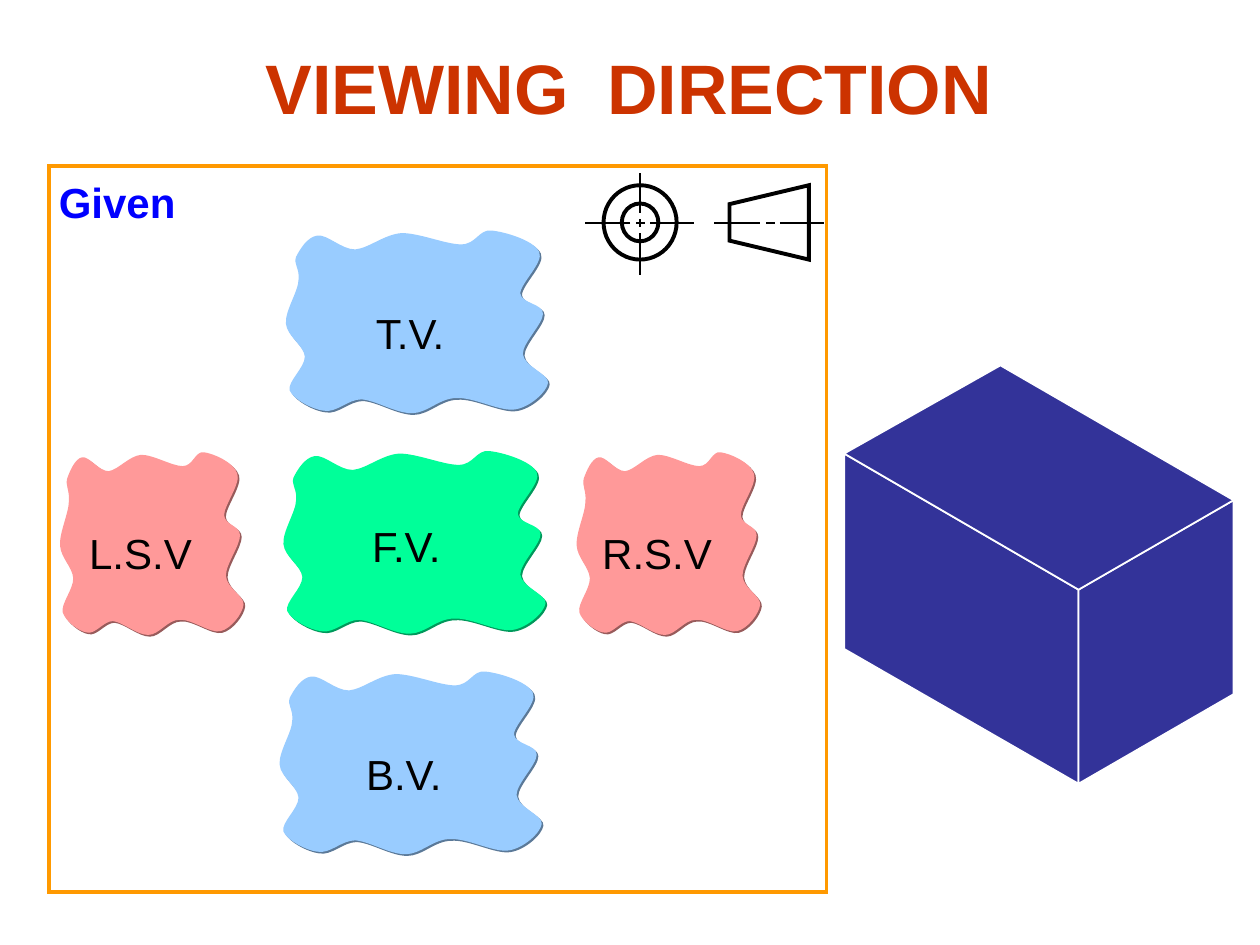
"""Build the viewing direction slide: five named views, a projection symbol and a solid block."""
from lxml import etree
from pptx import Presentation
from pptx.dml.color import RGBColor
from pptx.enum.shapes import MSO_CONNECTOR, MSO_SHAPE
from pptx.enum.text import MSO_ANCHOR, MSO_AUTO_SIZE, PP_ALIGN
from pptx.oxml.ns import qn
from pptx.util import Pt

PX = 9144
LINE = MSO_CONNECTOR.STRAIGHT
DONUT, RECT = MSO_SHAPE.DONUT, MSO_SHAPE.RECTANGLE
MIDDLE, CENTER = MSO_ANCHOR.MIDDLE, PP_ALIGN.CENTER
GROW = MSO_AUTO_SIZE.SHAPE_TO_FIT_TEXT
HEX = {
    "title": "CC3300", "given": "0000FF", "frame": "FF9900",
    "cube": "333399", "white": "FFFFFF", "black": "000000",
    "green": "00FF99", "pink": "FF9999", "blue": "99CCFF",
}
SHADE = {"green": "00985B", "pink": "985B5B", "blue": "5B7998"}
COLOR = {name: RGBColor.from_string(code) for name, code in HEX.items()}

deck = Presentation()
deck.slide_width, deck.slide_height = 1000 * PX, 750 * PX
slide = deck.slides.add_slide(deck.slide_layouts[5])
shapes = slide.shapes


def trace(points, left=0, top=0, ratio=1):
    pen = shapes.build_freeform(*points[0], scale=(PX * ratio, PX))
    pen.add_line_segments(points[1:], close=True)
    shape = pen.convert_to_shape(left * PX, top * PX)
    shape.shadow.inherit = False
    return shape


def style(box, area, size, tint, bold=False):
    box.left, box.top, box.width, box.height = [n * PX for n in area]
    frame = box.text_frame
    frame.word_wrap = False
    frame.auto_size = GROW
    frame.margin_left = frame.margin_right = 0
    frame.vertical_anchor = MIDDLE
    para = frame.paragraphs[0]
    para.alignment = CENTER
    for run in para.runs:
        font = run.font
        font.name, font.size, font.bold = "Arial", Pt(size), bold
        font.color.rgb = COLOR[tint]


title = shapes.title
for word in ("VIEWING", " ", "DIRECTION"):
    title.text_frame.paragraphs[0].add_run().text = word
style(title, (201, 30, 596, 77), 40, "title", True)
space = title.text_frame.paragraphs[0].runs[1]
space.font._element.set("spc", "1100")

faces = [
    [(670, 515), (670, 360), (856, 468), (856, 622)],
    [(856, 468), (856, 622), (979, 551), (979, 397)],
    [(670, 360), (856, 468), (979, 397), (794, 290)],
]
for face in faces:
    side = trace(face)
    side.fill.solid()
    side.fill.fore_color.rgb = COLOR["cube"]
    side.line.color.rgb = COLOR["white"]
    side.line.width = Pt(1)

blob = [
    (9, 22), (12, 16), (18, 6), (26, 5), (34, 4), (45, 16), (56, 16),
    (67, 15), (79, 4), (93, 3), (107, 3), (128, 12), (140, 12),
    (152, 12), (154, 0), (164, 1), (175, 2), (198, 9), (202, 18),
    (206, 26), (187, 43), (187, 51), (188, 59), (205, 59), (205, 67),
    (205, 75), (189, 90), (189, 99), (190, 109), (210, 115), (209, 122),
    (208, 129), (195, 141), (183, 143), (171, 145), (150, 133), (136, 134),
    (123, 134), (113, 146), (101, 146), (88, 146), (73, 136), (61, 135),
    (50, 135), (41, 146), (31, 144), (22, 143), (7, 135), (4, 128),
    (2, 121), (16, 110), (16, 101), (15, 92), (2, 85), (1, 75),
    (0, 65), (11, 49), (11, 40), (12, 31), (7, 28), (9, 22),
]
views = [
    ("F.V.", "green", 224, 357, 210, (282, 408, 81, 50)),
    ("R.S.V", "pink", 457, 358, 147, (468, 414, 107, 50)),
    ("T.V.", "blue", 226, 182, 210, (285, 239, 81, 50)),
    ("L.S.V", "pink", 47, 358, 147, (61, 414, 101, 50)),
    ("B.V.", "blue", 221, 532, 210, (279, 589, 83, 50)),
]
for name, tint, left, top, width, area in views:
    patch = trace(blob, left, top, width / 210)
    patch.fill.solid()
    patch.fill.fore_color.rgb = COLOR[tint]
    patch.line.fill.background()
    steps = patch._element.xpath(".//a:lnTo")
    for i in range(0, len(steps), 3):
        curve = etree.Element(qn("a:cubicBezTo"))
        steps[i].addprevious(curve)
        for step in steps[i:i + 3]:
            curve.append(step[0])
            step.getparent().remove(step)
    effect = patch._element.xpath(".//a:effectLst")[0]
    cast = etree.SubElement(effect, qn("a:outerShdw"), dist="17780", dir="2700000")
    etree.SubElement(cast, qn("a:srgbClr"), val=SHADE[tint])
    label = shapes.add_textbox(0, 0, 0, 0)
    label.text_frame.text = name
    style(label, area, 24, "black")

ring = shapes.add_shape(DONUT, 479 * PX, 147 * PX, 58 * PX, 59 * PX)
ring.adjustments[0] = 0.25
cone = trace([(642, 147), (642, 206), (579, 191), (579, 162)])
frame = shapes.add_shape(RECT, 39 * PX, 132 * PX, 617 * PX, 576 * PX)
for shape, tint in ((ring, "black"), (cone, "black"), (frame, "frame")):
    shape.shadow.inherit = False
    shape.fill.background()
    shape.line.color.rgb = COLOR[tint]
    shape.line.width = Pt(2.25)
    edge = shape._element.xpath(".//a:ln")[0]
    etree.SubElement(edge, qn("a:miter"), lim="800000")

dashes = [(x + a, 177, x + b, 177) for x in (508, 611)
          for a, b in ((-3, 4), (8, 43), (-8, -44))]
dashes += [(508, a, 508, b) for a, b in ((180, 174), (169, 137), (218, 185))]
for dash in dashes:
    axis = shapes.add_connector(LINE, *[n * PX for n in dash])
    axis.line.color.rgb = COLOR["black"]
    axis.line.width = Pt(1)
    etree.SubElement(axis._element.spPr, qn("a:effectLst"))

given = shapes.add_textbox(0, 0, 0, 0)
given.text_frame.text = "Given"
style(given, (37, 135, 112, 50), 24, "given", True)

deck.save("out.pptx")
